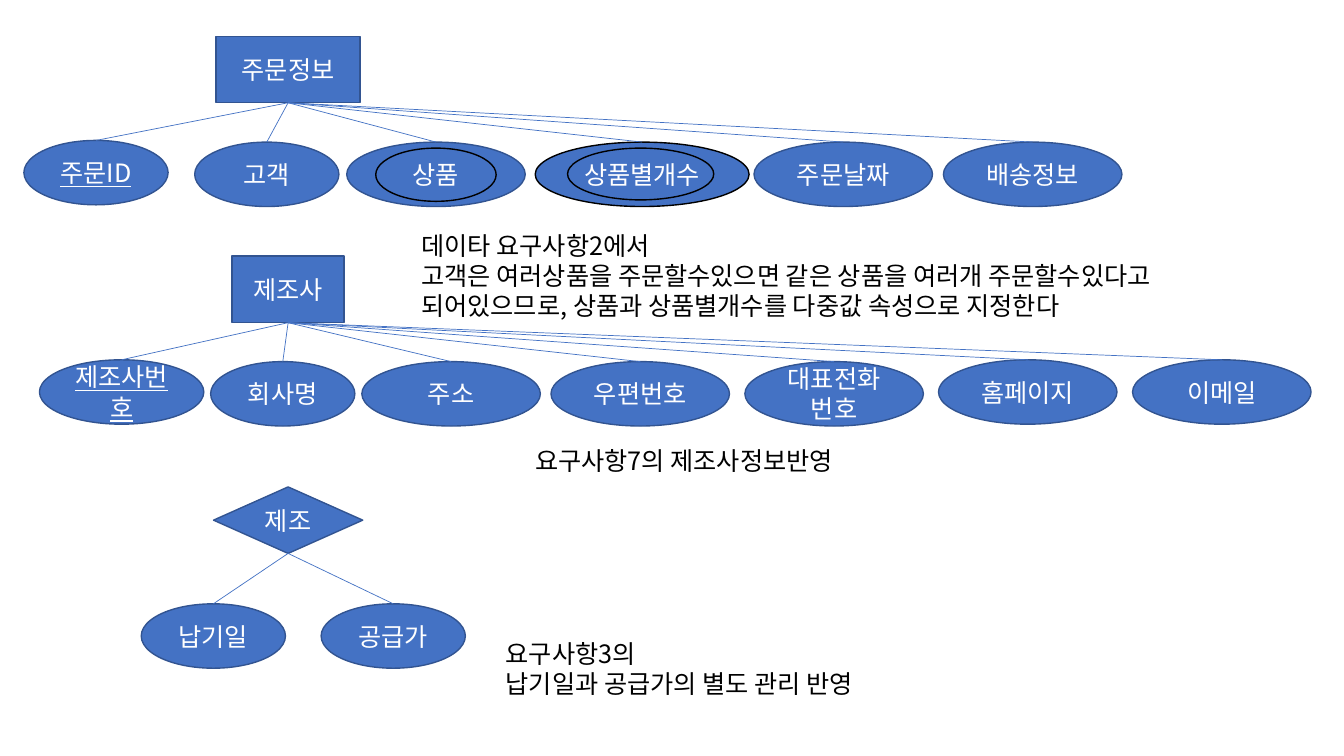
from dataclasses import dataclass

from lxml.etree import SubElement
from pptx import Presentation
from pptx.dml.color import RGBColor
from pptx.enum.shapes import MSO_CONNECTOR, MSO_SHAPE
from pptx.enum.text import MSO_ANCHOR, MSO_AUTO_SIZE, PP_ALIGN
from pptx.oxml.ns import qn
from pptx.slide import Slide
from pptx.util import Pt


def color(value):
    return RGBColor.from_string(value)


@dataclass
class Diagram:
    slide: Slide
    font: str = "Noto Sans CJK KR"
    size: float = 18
    fill: str = "4472C4"
    outline: str = "325491"
    light: str = "FFFFFF"
    dark: str = "000000"

    def format_text(self, text_frame, ink, align, underline=None):
        for paragraph in text_frame.paragraphs:
            paragraph.alignment = align
            for run in paragraph.runs:
                run.font.name = self.font
                run.font.size = Pt(self.size)
                run.font.underline = underline
                run.font.color.rgb = color(ink)
                east_asian = SubElement(run.font._element, qn("a:ea"))
                east_asian.set("typeface", self.font)

    def outlined(self, kind, left, top, width, height, outline):
        shape = self.slide.shapes.add_shape(kind, Pt(left), Pt(top), Pt(width), Pt(height))
        shape.shadow.inherit = False
        shape.line.color.rgb = color(outline)
        shape.line.width = Pt(1)
        return shape

    def node(self, kind, text, left, top, width, height, outline=None, underline=None):
        shape = self.outlined(kind, left, top, width, height, outline or self.outline)
        shape.fill.solid()
        shape.fill.fore_color.rgb = color(self.fill)
        shape.text_frame.text = text
        shape.text_frame.vertical_anchor = MSO_ANCHOR.MIDDLE
        self.format_text(shape.text_frame, self.light, PP_ALIGN.CENTER, underline)
        return shape

    def owner(self, kind, text, top, width):
        return self.node(kind, text, OWNER_CENTER - width / 2, top, width, 47.5)

    def attribute(self, owner, text, left, top, width, outline=None, underline=None):
        ellipse = self.node(MSO_SHAPE.OVAL, text, left, top, width, 46, outline, underline)
        self.link(owner, ellipse)

    def link(self, owner, ellipse):
        line = self.slide.shapes.add_connector(MSO_CONNECTOR.STRAIGHT, 0, 0, 0, 0)
        line.begin_connect(owner, 2)
        line.end_connect(ellipse, 0)
        line.line.color.rgb = color(self.fill)
        line.line.width = Pt(0.5)
        SubElement(line._element.spPr, qn("a:effectLst"))

    def ring(self, left, top, width, height):
        self.outlined(MSO_SHAPE.OVAL, left, top, width, height, self.dark).fill.background()

    def note(self, text, left, top, width, height):
        box = self.slide.shapes.add_textbox(Pt(left), Pt(top), Pt(width), Pt(height))
        box.text_frame.word_wrap = True
        box.text_frame.auto_size = MSO_AUTO_SIZE.SHAPE_TO_FIT_TEXT
        box.text_frame.text = text
        self.format_text(box.text_frame, self.dark, PP_ALIGN.LEFT)


OWNER_CENTER = 205.8
NARROW, WIDE = 103, 127.5

presentation = Presentation()
presentation.slide_width = Pt(960)
presentation.slide_height = Pt(540)
diagram = Diagram(presentation.slides.add_slide(presentation.slide_layouts[6]))

order = diagram.owner(MSO_SHAPE.RECTANGLE, "주문정보", 25.9, NARROW)
maker = diagram.owner(MSO_SHAPE.RECTANGLE, "제조사", 183, 80)
making = diagram.owner(MSO_SHAPE.FLOWCHART_DECISION, "제조", 347.8, 106.6)

diagram.attribute(order, "주문ID", 17.1, 100.3, NARROW, underline=True)
diagram.attribute(order, "상품별개수", 382.3, 101.5, 152.8, outline=diagram.dark)
diagram.attribute(maker, "제조사번호", 28.2, 257, 117.4, underline=True)

plain_attributes = [
    (order, 101.5, [("고객", 139.1, NARROW), ("상품", 247.7, WIDE),
                    ("주문날짜", 538.6, WIDE), ("배송정보", 673.9, WIDE)]),
    (maker, 258.3, [("회사명", 150.5, NARROW), ("주소", 258.5, WIDE),
                    ("우편번호", 393.6, WIDE), ("대표전화번호", 532.1, WIDE)]),
    (maker, 257, [("홈페이지", 670.4, WIDE), ("이메일", 809, WIDE)]),
    (making, 431.3, [("납기일", 100.9, NARROW), ("공급가", 229.4, NARROW)]),
]
for owner, top, attributes in plain_attributes:
    for text, left, width in attributes:
        diagram.attribute(owner, text, left, top, width)

diagram.ring(268.4, 105.8, 86, 38)
diagram.ring(405.4, 105.8, 104.4, 37)

diagram.note(
    "데이타 요구사항2에서\n"
    "고객은 여러상품을 주문할수있으면 같은 상품을 여러개 주문할수있다고 "
    "되어있으므로, 상품과 상품별개수를 다중값 속성으로 지정한다",
    293.8, 160.6, 583, 72.7)
diagram.note("요구사항3의\n납기일과 공급가의 별도 관리 반영", 354.2, 452.2, 390, 51)
diagram.note("요구사항7의 제조사정보반영", 375.1, 314.6, 387.4, 29)

presentation.save("out.pptx")
